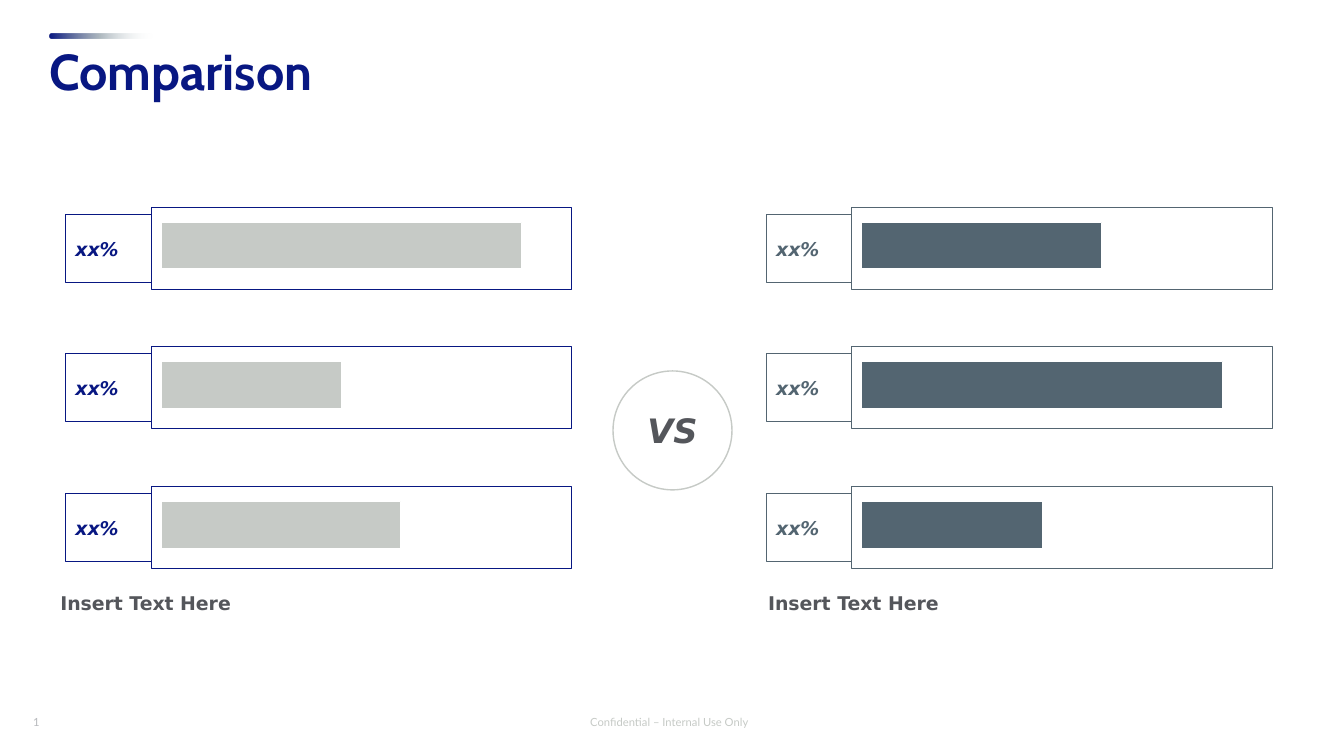
from pptx import Presentation, oxml
from pptx import util as u
from pptx.chart.data import CategoryChartData
from pptx.dml.color import RGBColor
from pptx.enum import chart as charts, shapes, text
from pptx.oxml import ns

NAVY = RGBColor(0x08, 0x17, 0x82)
SLATE = RGBColor(0x53, 0x65, 0x71)
SILVER = RGBColor(0xC6, 0xCA, 0xC6)
PAGE_GREY = RGBColor(0xB8, 0xBA, 0xBE)
CHARCOAL = RGBColor(0x54, 0x56, 0x5B)
AXIS_GREY = RGBColor(0x8E, 0x90, 0x96)
WHITE = RGBColor(0xFF, 0xFF, 0xFF)

BODY_FONT, TITLE_FONT, FOOTER_FONT = "DejaVu Sans", "Cabin", "Lato"

ACCENT_FADE = f"""<a:gradFill {ns.nsdecls("a")} rotWithShape="1"><a:gsLst>
<a:gs pos="0"><a:srgbClr val="081783"/></a:gs>
<a:gs pos="50000"><a:srgbClr val="637784"><a:alpha val="50000"/></a:srgbClr></a:gs>
<a:gs pos="100000"><a:srgbClr val="F4F8F7"><a:alpha val="0"/></a:srgbClr></a:gs>
</a:gsLst><a:lin ang="0" scaled="0"/></a:gradFill>"""

PLOT_LAYOUT = f"""<c:layout {ns.nsdecls("c")}><c:manualLayout>
<c:layoutTarget val="inner"/><c:xMode val="edge"/><c:yMode val="edge"/>
<c:x val="0.028"/><c:y val="0"/><c:w val="0.953"/><c:h val="1"/>
</c:manualLayout></c:layout>"""


class ComparisonSlide:
    """Holds the slide and draws its elements in one style."""

    def __init__(self, slide):
        self.slide = slide

    def place(self, box):
        return [u.Inches(length) for length in box]

    def add_words(self, shape, words, size, color, font=BODY_FONT, bold=True, italic=False,
                  align=text.PP_ALIGN.LEFT, anchor=text.MSO_ANCHOR.MIDDLE):
        frame = shape.text_frame
        frame.word_wrap = True
        frame.vertical_anchor = anchor
        paragraph = frame.paragraphs[0]
        paragraph.alignment = align
        run = paragraph.add_run()
        run.text = words
        run.font.name, run.font.size = font, u.Pt(size)
        run.font.bold, run.font.italic = bold, italic
        run.font.color.rgb = color
        return frame

    def label(self, box, words, size, color, **style):
        shape = self.slide.shapes.add_textbox(*self.place(box))
        return self.add_words(shape, words, size, color, **style)

    def outline(self, kind, box, color, width=0.75, fill=None):
        shape = self.slide.shapes.add_shape(kind, *self.place(box))
        shape.shadow.inherit = False
        if fill is None:
            shape.fill.background()
        else:
            shape.fill.solid()
            shape.fill.fore_color.rgb = fill
        shape.line.color.rgb = color
        shape.line.width = u.Pt(width)
        return shape

    def panel(self, box, color, fill=None):
        shape = self.outline(shapes.MSO_SHAPE.ROUNDED_RECTANGLE, box, color, fill=fill)
        shape.adjustments[0] = 0
        return shape

    def accent(self, box):
        shape = self.slide.shapes.add_shape(shapes.MSO_SHAPE.ROUNDED_RECTANGLE, *self.place(box))
        shape.adjustments[0] = 0.5
        shape.shadow.inherit = False
        shape.line.fill.background()
        shape.fill.background()
        no_fill = shape._element.spPr.find(ns.qn("a:noFill"))
        no_fill.getparent().replace(no_fill, oxml.parse_xml(ACCENT_FADE))

    def bar_chart(self, box, color, maximum):
        data = CategoryChartData()
        data.categories = ["1"]
        data.add_series("Series 1", [100])
        chart = self.slide.shapes.add_chart(
            charts.XL_CHART_TYPE.BAR_CLUSTERED, *self.place(box), data).chart
        chart.has_legend = chart.has_title = False
        chart.font.name, chart.font.size = BODY_FONT, u.Pt(10)
        chart.font.color.rgb = CHARCOAL

        plot = chart.plots[0]
        plot.gap_width = 80
        plot.vary_by_categories = False
        bar = plot.series[0].format
        bar.fill.solid()
        bar.fill.fore_color.rgb = color
        bar.line.color.rgb = WHITE
        bar.line.width = u.Pt(0.75)

        chart.category_axis.visible = False
        axis = chart.value_axis
        axis.minimum_scale, axis.maximum_scale = 0, maximum
        axis.has_major_gridlines = False
        axis.major_tick_mark = charts.XL_TICK_MARK.OUTSIDE
        axis.tick_label_position = charts.XL_TICK_LABEL_POSITION.NONE
        axis.format.line.fill.background()
        axis.tick_labels.font.name = BODY_FONT
        axis.tick_labels.font.size = u.Pt(12)
        axis.tick_labels.font.color.rgb = AXIS_GREY

        plot_area = chart._chartSpace.chart.plotArea
        for layout in plot_area.findall(ns.qn("c:layout")):
            plot_area.remove(layout)
        plot_area.insert(0, oxml.parse_xml(PLOT_LAYOUT))

    def row(self, left, top, line_color, bar_color, maximum):
        tag = self.panel((left, top + 0.07, 5.02, 0.67), line_color)
        self.add_words(tag, "xx%", 13.5, line_color, italic=True)
        self.panel((left + 0.85, top, 4.17, 0.81), line_color, fill=WHITE)
        self.bar_chart((left + 0.83, top - 0.04, 4.17, 0.89), bar_color, maximum)


def main():
    presentation = Presentation()
    presentation.slide_width = u.Inches(13.33)
    presentation.slide_height = u.Inches(7.5)
    page = ComparisonSlide(presentation.slides.add_slide(presentation.slide_layouts[6]))

    # Footer
    page.label((5.14, 7, 3, 0.32), "Confidential – Internal Use Only", 8, SILVER,
               font=FOOTER_FONT, bold=False, align=text.PP_ALIGN.CENTER)
    page.label((0.23, 7, 3, 0.32), "1", 8, PAGE_GREY, font=FOOTER_FONT, bold=False)

    # Title with its accent
    page.accent((0.49, 0.33, 1.02, 0.05))
    title = page.label((0.49, 0.47, 12.32, 0.53), "Comparison", 36, NAVY,
                       font=TITLE_FONT, anchor=text.MSO_ANCHOR.TOP)
    title.margin_left = title.margin_right = title.margin_top = title.margin_bottom = 0
    title.paragraphs[0].line_spacing = 0.9

    # Two columns; a larger axis maximum gives a shorter bar
    columns = [
        (0.65, 0.5, NAVY, SILVER, (111, 222, 167)),
        (7.6, 7.52, SLATE, SLATE, (167, 111, 222)),
    ]
    for left, caption_left, line_color, bar_color, maximums in columns:
        for top, maximum in zip((2.06, 3.44, 4.83), maximums):
            page.row(left, top, line_color, bar_color, maximum)
        caption = page.label((caption_left, 5.82, 5.17, 0.33), "Insert Text Here", 13.5,
                             CHARCOAL, anchor=text.MSO_ANCHOR.TOP)
        caption.auto_size = text.MSO_AUTO_SIZE.SHAPE_TO_FIT_TEXT

    # Versus badge
    badge = page.outline(shapes.MSO_SHAPE.OVAL, (6.08, 3.68, 1.18, 1.18), SILVER, width=1)
    page.add_words(badge, "VS", 24, CHARCOAL, italic=True, align=text.PP_ALIGN.CENTER)

    presentation.save("out.pptx")


if __name__ == "__main__":
    main()
